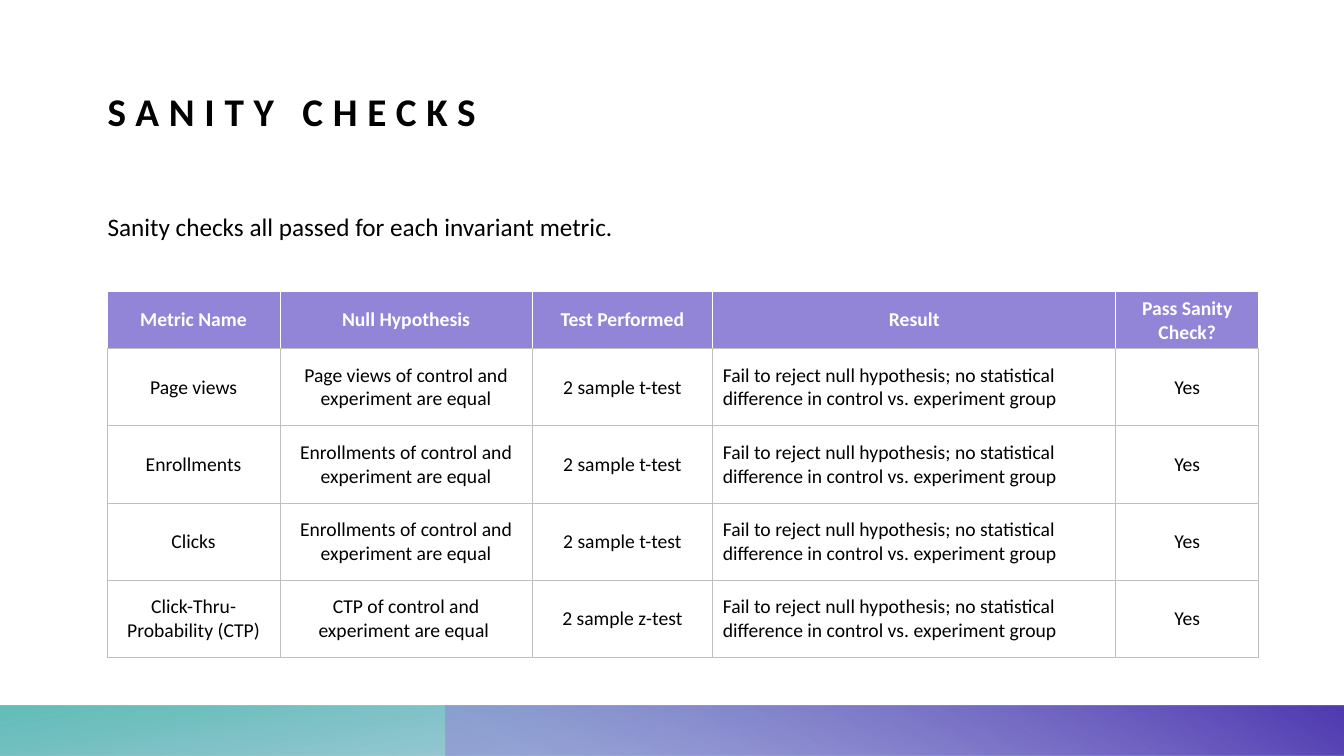
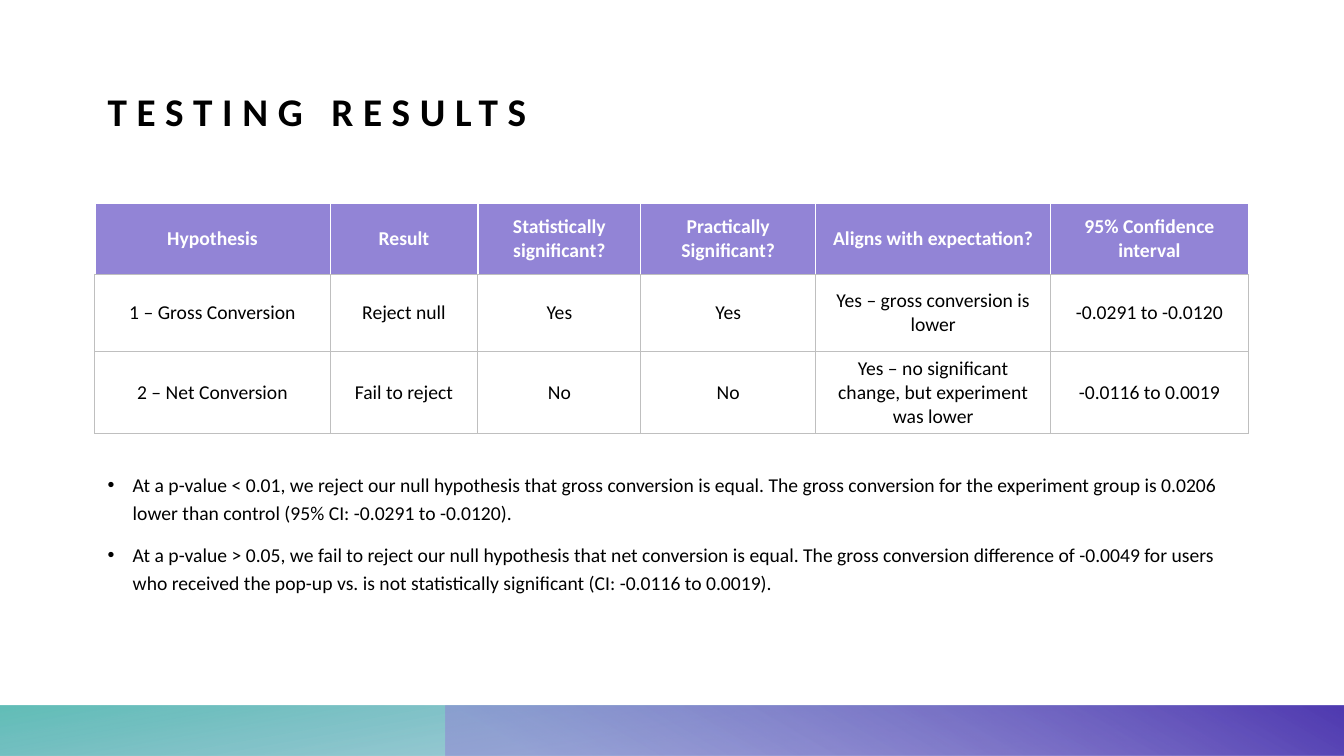
from dataclasses import dataclass

from lxml.etree import SubElement
from pptx import Presentation
from pptx.dml.color import RGBColor
from pptx.enum.shapes import MSO_SHAPE
from pptx.enum.text import MSO_ANCHOR, PP_ALIGN
from pptx.oxml.ns import qn
from pptx.util import Inches, Pt


@dataclass(frozen=True)
class Theme:
    font: str = "Calibri"
    text: str = "000000"
    paper: str = "FFFFFF"
    header: str = "9284D6"
    grid: str = "BFBFBF"
    teal: str = "46B3AB"
    blue: str = "3B88B1"
    violet: str = "503BB1"
    title_size: int = 28
    lead_size: int = 18
    body_size: int = 14
    title_spacing: int = 7
    header_line: float = 1
    grid_line: float = 0.75


def apply(target, values):
    for name, value in values.items():
        setattr(target, name, value)


class Deck:
    COLUMNS, ROWS = 160, 90
    MARGIN, TEXT_WIDTH = 12.8, 134.4
    BAND_TOP, BAND_HEIGHT = 84, 6

    def __init__(self, theme):
        self.theme = theme
        self.presentation = Presentation()
        apply(self.presentation, {"slide_width": Inches(13.33), "slide_height": Inches(7.5)})
        self.slide = None

    def across(self, columns):
        return round(self.presentation.slide_width * columns / self.COLUMNS)

    def down(self, rows):
        return round(self.presentation.slide_height * rows / self.ROWS)

    def box(self, left, top, width, height):
        return self.across(left), self.down(top), self.across(width), self.down(height)

    def add_slide(self, title):
        theme = self.theme
        self.slide = self.presentation.slides.add_slide(self.presentation.slide_layouts[6])
        self.band(0, [(0.14, theme.blue, 28), (1, theme.teal, 85)], 100, rotation=180)
        self.band(53, [(0.09, theme.header, 55), (0.99, theme.violet, 100)], 240)
        paragraph = self.text_box(10.4, 16.2).paragraphs[0]
        run = self.add_text(paragraph, title, theme.title_size, bold=True)
        run.font._element.set("spc", str(theme.title_spacing * 100))

    def band(self, left, stops, angle, rotation=0):
        area = self.box(left, self.BAND_TOP, self.COLUMNS - left, self.BAND_HEIGHT)
        shape = self.slide.shapes.add_shape(MSO_SHAPE.RECTANGLE, *area)
        shape.shadow.inherit = False
        shape.line.fill.background()
        shape.rotation = rotation
        properties = shape._element.spPr
        properties.find(qn("a:xfrm")).set("flipH", "1")
        shape.fill.gradient()
        shape.fill.gradient_angle = 360 - angle
        for stop, (position, color, _) in zip(shape.fill.gradient_stops, stops):
            stop.position = position
            stop.color.rgb = RGBColor.from_string(color)
        for color, (_, _, opacity) in zip(properties.iter(qn("a:srgbClr")), stops):
            SubElement(color, qn("a:alpha"), val=str(opacity * 1000))

    def text_box(self, top, height):
        area = self.box(self.MARGIN, top, self.TEXT_WIDTH, height)
        frame = self.slide.shapes.add_textbox(*area).text_frame
        margins = dict.fromkeys(("margin_left", "margin_top", "margin_right", "margin_bottom"), 0)
        apply(frame, {"word_wrap": True, "vertical_anchor": MSO_ANCHOR.TOP, **margins})
        return frame

    def add_text(self, paragraph, text, size, color=None, bold=False):
        run = paragraph.add_run()
        run.text = text
        apply(run.font, {"name": self.theme.font, "size": Pt(size), "bold": bold})
        run.font.color.rgb = RGBColor.from_string(color or self.theme.text)
        return run

    def body(self, top, height, texts, size, bulleted=False):
        frame = self.text_box(top, height)
        for index, text in enumerate(texts):
            paragraph = frame.add_paragraph() if index else frame.paragraphs[0]
            apply(paragraph, {"line_spacing": 1.2, "space_before": Pt(10)})
            self.add_text(paragraph, text, size)
            if bulleted:
                self.bullet(paragraph)

    def bullet(self, paragraph):
        properties = paragraph._p.get_or_add_pPr()
        indent = Inches(0.25)
        properties.set("marL", str(indent))
        properties.set("indent", str(-indent))
        SubElement(properties, qn("a:buFont"), typeface="Arial")
        SubElement(properties, qn("a:buChar"), char="•")

    def table(self, left, top, widths, heights, records, left_aligned=()):
        area = self.box(left, top, sum(widths), sum(heights))
        table = self.slide.shapes.add_table(len(heights), len(widths), *area).table
        for column, width in zip(table.columns, widths):
            column.width = self.across(width)
        for row, height in zip(table.rows, heights):
            row.height = self.down(height)
        for row_index, record in enumerate(records):
            for column_index, text in enumerate(record):
                is_header = row_index == 0
                is_left = column_index in left_aligned and not is_header
                alignment = PP_ALIGN.LEFT if is_left else PP_ALIGN.CENTER
                self.cell(table.cell(row_index, column_index), text, is_header, alignment)

    def cell(self, cell, text, is_header, alignment):
        theme = self.theme
        grid = (theme.grid, theme.grid_line)
        edge = (theme.paper, theme.header_line) if is_header else grid
        for side, (color, width) in zip(("lnL", "lnR", "lnT", "lnB"), (edge, edge, edge, grid)):
            self.border(cell, side, color, width)
        cell.fill.solid()
        cell.fill.fore_color.rgb = RGBColor.from_string(theme.header if is_header else theme.paper)
        cell.vertical_anchor = MSO_ANCHOR.MIDDLE
        paragraph = cell.text_frame.paragraphs[0]
        paragraph.alignment = alignment
        color = theme.paper if is_header else theme.text
        self.add_text(paragraph, text, theme.body_size, color, is_header)

    def border(self, cell, side, color, width):
        properties = cell._tc.get_or_add_tcPr()
        line = SubElement(properties, qn(f"a:{side}"), w=str(Pt(width)))
        fill = SubElement(line, qn("a:solidFill"))
        SubElement(fill, qn("a:srgbClr"), val=color)


def sanity_checks(deck):
    deck.add_slide("SANITY CHECKS")
    result = (
        "Fail to reject null hypothesis; no statistical difference "
        "in control vs. experiment group"
    )
    metrics = [
        ("Page views", "Page views of control and experiment are equal", "t"),
        ("Enrollments", "Enrollments of control and experiment are equal", "t"),
        ("Clicks", "Enrollments of control and experiment are equal", "t"),
        ("Click-Thru-Probability (CTP)", "CTP of control and experiment are equal ", "z"),
    ]
    header = ("Metric Name", "Null Hypothesis", "Test Performed", "Result", "Pass Sanity Check?")
    records = [
        (name, hypothesis, f"2 sample {test}-test", result, "Yes")
        for name, hypothesis, test in metrics
    ]
    deck.table(
        12.75, 34.7, (20.6, 30, 21.5, 48, 17), (6.8, *[9.2] * len(records)),
        [header, *records], left_aligned=(3,),
    )
    deck.body(
        24.4, 7, ["Sanity checks all passed for each invariant metric."], deck.theme.lead_size
    )


def testing_results(deck):
    deck.add_slide("TESTING RESULTS")
    records = [
        ("Hypothesis", "Result", "Statistically significant?", "Practically Significant?",
         "Aligns with expectation?", "95% Confidence interval"),
        ("1 – Gross Conversion", "Reject null", "Yes", "Yes",
         "Yes – gross conversion is lower", "-0.0291 to -0.0120"),
        ("2 – Net Conversion", "Fail to reject", "No", "No",
         "Yes – no significant change, but experiment was lower", "-0.0116 to 0.0019"),
    ]
    deck.table(11.3, 24.25, (28, 17.6, 19.4, 20.8, 28, 23.5), (8.4, 9.2, 9.8), records)
    findings = [
        "At a p-value < 0.01, we reject our null hypothesis that gross conversion is equal. "
        "The gross conversion for the experiment group is 0.0206 lower than control "
        "(95% CI: -0.0291 to -0.0120).",
        "At a p-value > 0.05, we fail to reject our null hypothesis that net conversion is equal. "
        "The gross conversion difference of -0.0049 for users who received the pop-up vs. "
        "is not statistically significant (CI: -0.0116 to 0.0019).",
    ]
    deck.body(55.7, 17.5, findings, deck.theme.body_size, bulleted=True)


def main():
    deck = Deck(Theme())
    sanity_checks(deck)
    testing_results(deck)
    deck.presentation.save("out.pptx")


if __name__ == "__main__":
    main()
